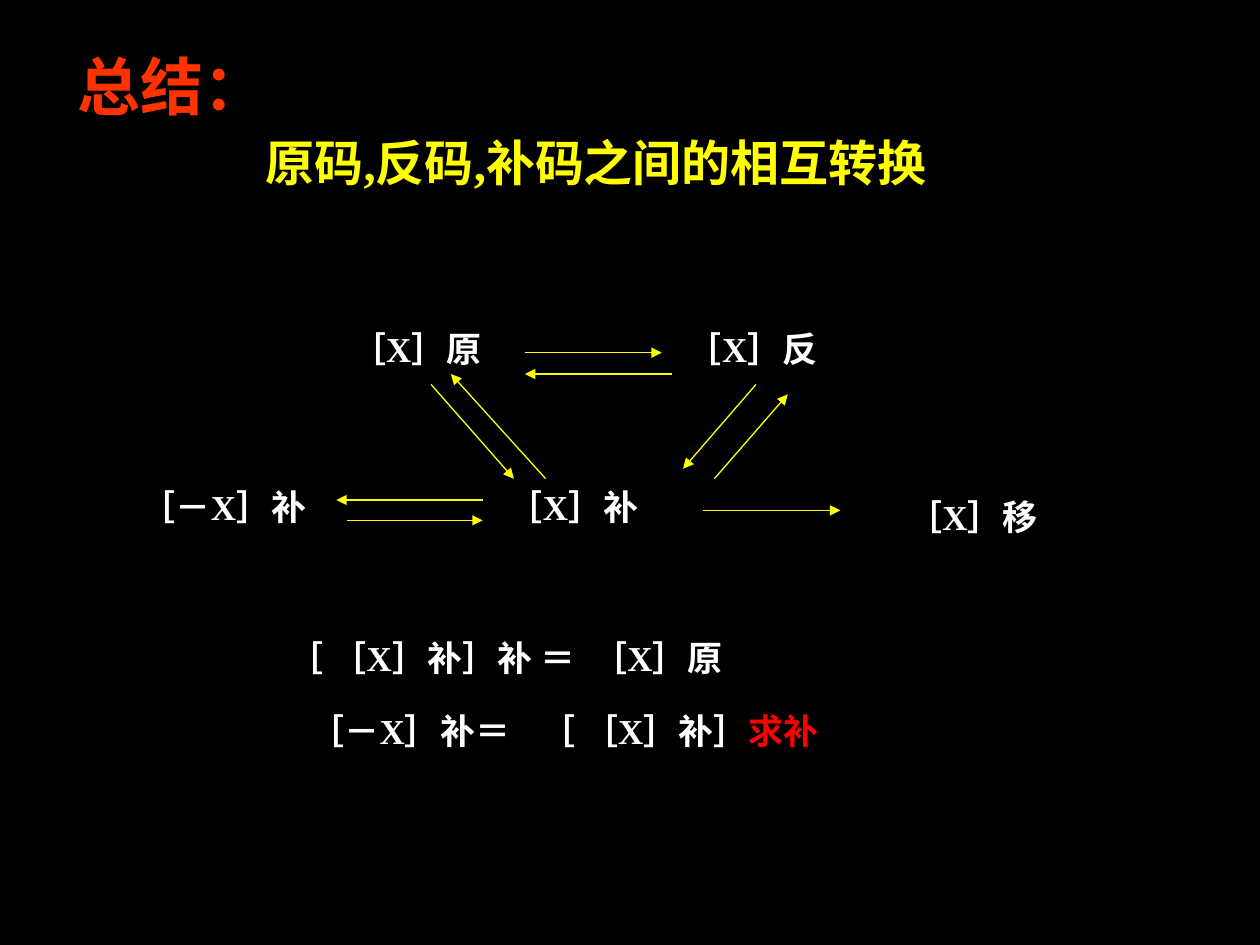
from dataclasses import dataclass

from lxml.etree import SubElement
from pptx import Presentation
from pptx.dml.color import RGBColor
from pptx.enum.shapes import MSO_CONNECTOR
from pptx.enum.text import MSO_ANCHOR, MSO_AUTO_SIZE, PP_ALIGN
from pptx.oxml.ns import qn
from pptx.shapes.autoshape import Shape
from pptx.slide import Slide
from pptx.util import Cm, Pt

FONT = "Times New Roman"
BLACK, WHITE, YELLOW = "000000", "FFFFFF", "FFFF00"
ORANGE, RED = "FF3300", "FF0000"
TOP, MIDDLE, FIRST, SECOND = 6.48, 9.66, 12.7, 14.17
SHORT = 3.52


@dataclass
class Run:
    text: str
    color: str = WHITE


@dataclass
class Label:
    left: float
    top: float
    width: float
    runs: list[Run]
    size: int = 20
    height: float = 1.12


@dataclass
class Arrow:
    x1: float
    y1: float
    x2: float
    y2: float


TITLE = Label(1.3, 0.84, 4.32, [Run("总结：", ORANGE)], 36, 1.78)

LABELS = [
    Label(5.11, 2.54, 14.8, [Run("原码,反码,补码之间的相互转换", YELLOW)], 28, 1.45),
    Label(6.83, TOP, SHORT, [Run("［X］原")]),
    Label(13.6, TOP, SHORT, [Run("［X］反")]),
    Label(2.59, MIDDLE, 4.25, [Run("［－X］补")]),
    Label(9.99, MIDDLE, SHORT, [Run("［X］补")]),
    Label(18.04, 9.86, SHORT, [Run("［X］移")]),
    Label(5.57, FIRST, 7, [Run("［ ［X］补］补 ＝")]),
    Label(11.69, FIRST, SHORT, [Run("［X］原")]),
    Label(5.99, SECOND, 5.2, [Run("［－X］补＝")]),
    Label(10.64, SECOND, 6.8, [Run("［ ［X］补］"), Run("求补", RED)]),
]

ARROWS = [
    Arrow(10.58, 7.11, 13.34, 7.11),
    Arrow(13.54, 7.54, 10.58, 7.54),
    Arrow(8.69, 7.75, 10.36, 9.65),
    Arrow(11, 9.65, 9.09, 7.54),
    Arrow(15.24, 7.75, 13.77, 9.45),
    Arrow(14.4, 9.65, 15.88, 7.95),
    Arrow(9.73, 10.08, 6.78, 10.08),
    Arrow(6.99, 10.49, 9.73, 10.49),
    Arrow(14.17, 10.29, 16.94, 10.29),
]


def paint(color: str) -> RGBColor:
    return RGBColor.from_string(color)


def write(shape: Shape, label: Label) -> None:
    shape.left, shape.top = Cm(label.left), Cm(label.top)
    shape.width, shape.height = Cm(label.width), Cm(label.height)
    frame = shape.text_frame
    frame.word_wrap = False
    frame.auto_size = MSO_AUTO_SIZE.SHAPE_TO_FIT_TEXT
    frame.vertical_anchor = MSO_ANCHOR.TOP
    line = frame.paragraphs[0]
    line.alignment = PP_ALIGN.LEFT
    for part in label.runs:
        run = line.add_run()
        run.text = part.text
        run.font.name = FONT
        run.font.size = Pt(label.size)
        run.font.bold = True
        run.font.color.rgb = paint(part.color)


def draw(slide: Slide, arrow: Arrow) -> None:
    link = slide.shapes.add_connector(
        MSO_CONNECTOR.STRAIGHT,
        Cm(arrow.x1), Cm(arrow.y1), Cm(arrow.x2), Cm(arrow.y2),
    )
    link.line.color.rgb = paint(YELLOW)
    link.line.width = Pt(0.75)
    SubElement(link.line._get_or_add_ln(), qn("a:tailEnd"), type="triangle")
    SubElement(link._element.spPr, qn("a:effectLst"))


def main() -> None:
    deck = Presentation()
    deck.slide_width, deck.slide_height = Cm(25.4), Cm(19.05)
    slide = deck.slides.add_slide(deck.slide_layouts[5])
    fill = slide.background.fill
    fill.solid()
    fill.fore_color.rgb = paint(BLACK)
    write(slide.shapes.title, TITLE)
    for label in LABELS:
        write(slide.shapes.add_textbox(0, 0, 0, 0), label)
    for arrow in ARROWS:
        draw(slide, arrow)
    deck.save("out.pptx")


if __name__ == "__main__":
    main()
